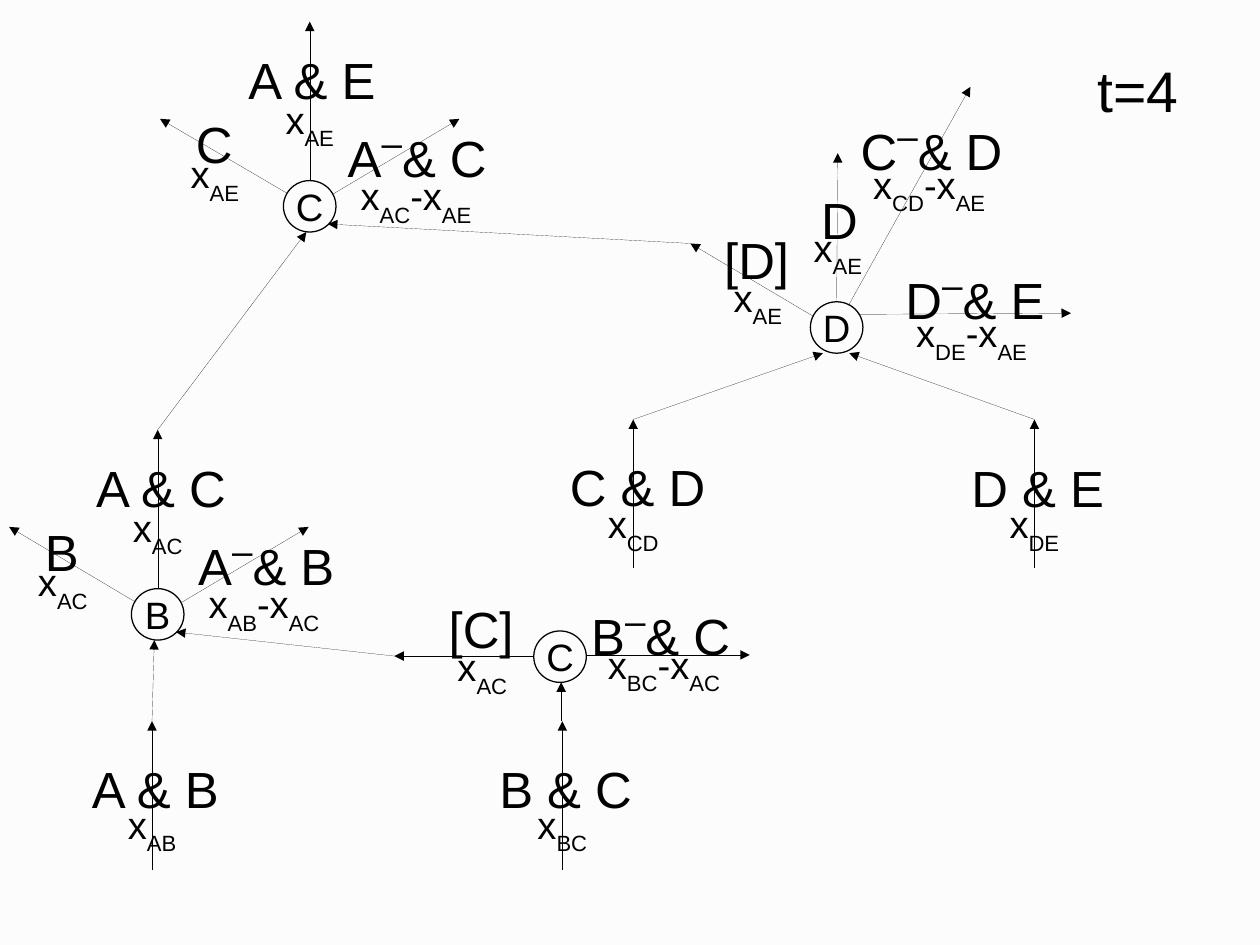
from pptx import Presentation
from pptx.dml.color import RGBColor
from pptx.enum.shapes import MSO_CONNECTOR, MSO_SHAPE
from pptx.enum.text import MSO_ANCHOR, MSO_AUTO_SIZE, PP_ALIGN
from pptx.oxml.ns import qn
from pptx.util import Inches, Pt
from lxml.etree import SubElement


def color(value):
    return RGBColor.from_string(value)


def write(box, label, size, **frame_format):
    """Fill a box with spans split at "|"; every second span is raised or lowered."""
    frame = box.text_frame
    for name, value in frame_format.items():
        setattr(frame, name, value)
    para = frame.paragraphs[0]
    para.alignment = PP_ALIGN.CENTER
    for index, text in enumerate(label.split("|")):
        span = para.add_run()
        span.text = text
        negation = text == "–"
        span.font.name = "Arial"
        span.font.size = Pt(40 if negation else size)
        span.font.color.rgb = color("000000")
        if index % 2:
            span._r.get_or_add_rPr().set("baseline", "33000" if negation else "-33000")


# The page measures 28 by 21 centimetres
deck = Presentation()
deck.slide_width, deck.slide_height = Inches(28 / 2.54), Inches(21 / 2.54)
page = deck.slides.add_slide(deck.slide_layouts[5])
page.background.fill.solid()
page.background.fill.fore_color.rgb = color("FCFCFC")

title = page.shapes.title
title.left, title.top = Inches(9.5), Inches(0.43)
title.width, title.height = Inches(0.91), Inches(0.66)
write(title, "t=4", 36, vertical_anchor=MSO_ANCHOR.TOP, auto_size=MSO_AUTO_SIZE.NONE)

# Arrows: from x, from y, to x, to y
arrows = [
    # Messages entering from below
    (1.33, 7.61, 1.33, 6.31), (4.92, 7.61, 4.92, 6.31),
    (5.54, 4.97, 5.54, 3.67), (9.05, 4.97, 9.05, 3.67),
    # Messages sent by node D
    (7.51, 2.75, 9.37, 2.74), (7.43, 2.66, 8.49, 0.76),
    (7.32, 2.64, 7.33, 1.34), (7.12, 2.77, 6.04, 2.13),
    # Messages sent by the lower node C
    (4.67, 5.74, 3.45, 5.74), (5.14, 5.73, 6.56, 5.73),
    # Messages sent by node B
    (1.38, 5.15, 1.38, 3.76), (1.19, 5.27, 0.08, 4.61), (1.59, 5.27, 2.7, 4.61),
    # Messages sent by the upper node C
    (2.71, 1.58, 2.71, 0.19), (2.51, 1.69, 1.4, 1.04), (2.91, 1.7, 4.02, 1.04),
    # Links from messages to the next node
    (5.54, 3.67, 7.2, 3.09), (9.05, 3.67, 7.43, 3.09),
    (4.91, 6.31, 4.91, 5.97), (3.45, 5.74, 1.54, 5.53),
    (1.33, 6.31, 1.35, 5.6), (6.04, 2.13, 2.87, 1.96), (1.38, 3.76, 2.68, 2.03),
]
for ends in arrows:
    arrow = page.shapes.add_connector(MSO_CONNECTOR.STRAIGHT, *map(Inches, ends))
    arrow.line.color.rgb = color("000000")
    arrow.line.width = Pt(0.01)
    SubElement(arrow.line._get_or_add_ln(), qn("a:tailEnd"), type="triangle")
    SubElement(arrow._element.spPr, qn("a:effectLst"))

# Nodes: name, left, top
nodes = [("D", 7.09, 2.64), ("C", 4.67, 5.52), ("B", 1.15, 5.15), ("C", 2.48, 1.58)]
for name, left, top in nodes:
    node = page.shapes.add_shape(
        MSO_SHAPE.OVAL, Inches(left), Inches(top), Inches(0.46), Inches(0.45))
    node.shadow.inherit = False
    node.fill.background()
    node.line.color.rgb = color("000000")
    node.line.width = Pt(0.79)
    write(node, name, 24, word_wrap=False, vertical_anchor=MSO_ANCHOR.MIDDLE)

# Width, height and text size for each label length
label_formats = {
    1: (0.49, 0.6, 32),      # B
    3: (0.78, 0.6, 32),      # [D]
    4: (0.68, 0.55, 24),     # x|AB
    5: (1.4, 0.6, 32),       # A & B
    7: (1.52, 0.72, 32),     # A|–|& B
    10: (1.36, 0.55, 24),    # x|AB|-x|AC
}
# Labels: text, horizontal centre, top
labels = [
    ("A & B", 1.36, 6.58), ("x|AB", 1.33, 6.96),
    ("B & C", 4.95, 6.58), ("x|BC", 4.92, 6.96),
    ("C & D", 5.58, 3.94), ("x|CD", 5.54, 4.33),
    ("D & E", 9.08, 3.95), ("x|DE", 9.05, 4.33),
    ("C|–|& D", 8.15, 0.89), ("x|CD|-x|AE", 8.13, 1.36),
    ("D|–|& E", 8.53, 2.19), ("x|DE|-x|AE", 8.5, 2.66),
    ("D", 7.33, 1.6), ("x|AE", 7.33, 1.91),
    ("[D]", 6.62, 1.95), ("x|AE", 6.63, 2.35),
    ("B|–|& C", 5.78, 5.13), ("x|BC|-x|AC", 5.81, 5.56),
    ("[C]", 4.21, 5.18), ("x|AC", 4.22, 5.58),
    ("A|–|& B", 2.33, 4.52), ("x|AB|-x|AC", 2.31, 5.03),
    ("B", 0.54, 4.51), ("x|AC", 0.55, 4.84),
    ("A & C", 1.41, 3.95), ("x|AC", 1.38, 4.36),
    ("A|–|& C", 3.65, 0.95), ("x|AC|-x|AE", 3.64, 1.46),
    ("C", 1.86, 0.94), ("x|AE", 1.88, 1.27),
    ("A & E", 2.73, 0.38), ("x|AE", 2.71, 0.79),
]
for label, center, top in labels:
    width, height, size = label_formats[len(label)]
    box = page.shapes.add_textbox(
        Inches(center - width / 2), Inches(top), Inches(width), Inches(height))
    write(box, label, size, word_wrap=True)

deck.save("out.pptx")
